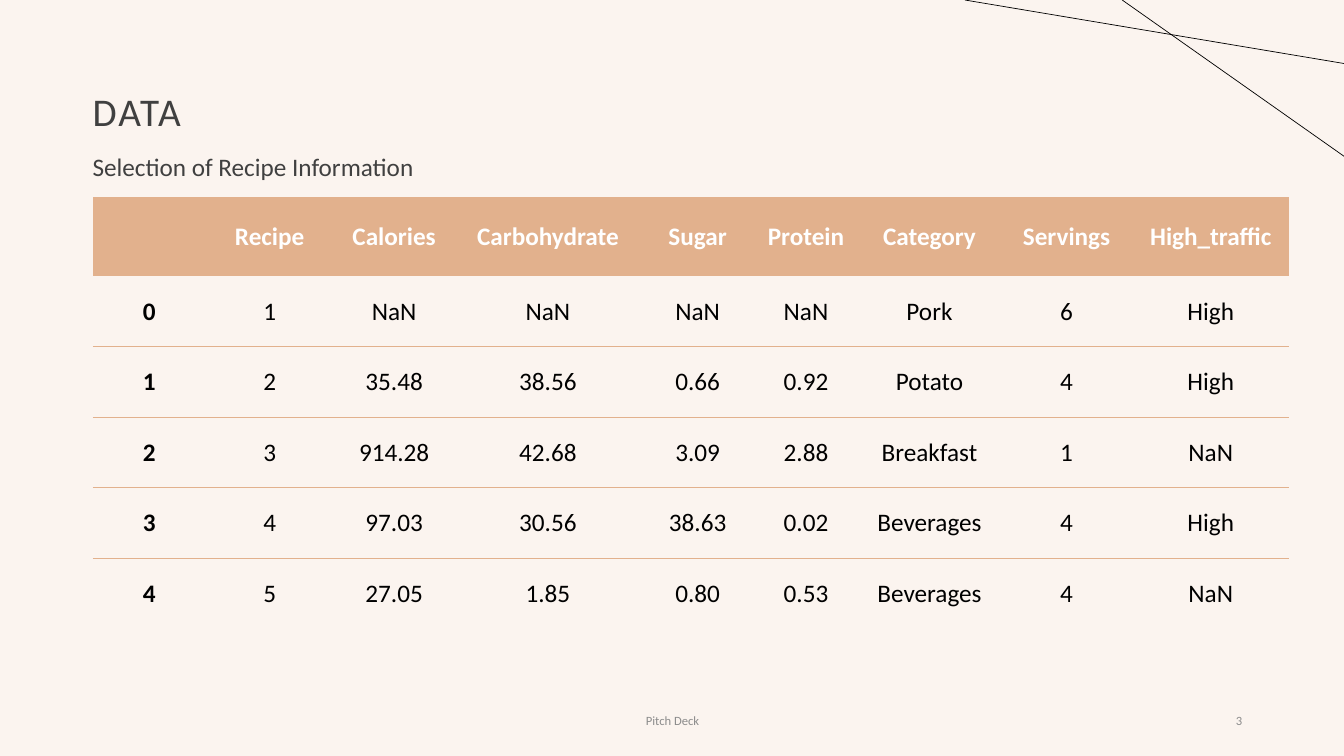
import pptx
import pptx.util
from lxml import etree
from pptx.dml.color import RGBColor
from pptx.enum.shapes import MSO_CONNECTOR
from pptx.enum.text import MSO_ANCHOR, PP_ALIGN
from pptx.oxml.ns import qn
from pptx.util import Inches, Pt

FONT = "Calibri"
CREAM = RGBColor(0xFB, 0xF4, 0xEF)
PEACH = RGBColor(0xE2, 0xB1, 0x8D)
CHARCOAL = RGBColor(0x40, 0x40, 0x40)
GRAY = RGBColor(0x8C, 0x8C, 0x8C)
BLACK = RGBColor(0, 0, 0)
WHITE = RGBColor(0xFF, 0xFF, 0xFF)
NO_TABLE_STYLE = "{2D5ABB26-0587-4C30-8999-92F81FD0307C}"

RECIPES = [
    ["", "Recipe", "Calories", "Carbohydrate", "Sugar", "Protein",
     "Category", "Servings", "High_traffic"],
    ["0", "1", "NaN", "NaN", "NaN", "NaN", "Pork", "6", "High"],
    ["1", "2", "35.48", "38.56", "0.66", "0.92", "Potato", "4", "High"],
    ["2", "3", "914.28", "42.68", "3.09", "2.88", "Breakfast", "1", "NaN"],
    ["3", "4", "97.03", "30.56", "38.63", "0.02", "Beverages", "4", "High"],
    ["4", "5", "27.05", "1.85", "0.80", "0.53", "Beverages", "4", "NaN"],
]
COLUMN_WIDTHS = [1.12, 1.27, 1.2, 1.85, 1.12, 1.03, 1.42, 1.3, 1.56]
HEADER_HEIGHT, ROW_HEIGHT = 0.79, 0.7
TABLE_LEFT, TABLE_TOP = 0.92, 1.95

TEXTS = [
    ("DATA", (0.92, 0.4, 11.5, 1.45),
     dict(size=28, color=CHARCOAL, spacing=1.5, line_spacing=0.9, left_inset=0)),
    ("Selection of Recipe Information", (0.82, 1.49, 7.4, 0.54),
     dict(size=18, color=CHARCOAL, line_spacing=0.9, space_before=10,
          anchor=MSO_ANCHOR.TOP)),
    ("Pitch Deck", (4.42, 6.95, 4.5, 0.4),
     dict(size=9, color=GRAY, align=PP_ALIGN.CENTER)),
    ("3", (9.42, 6.95, 3, 0.4),
     dict(size=9, color=GRAY, align=PP_ALIGN.RIGHT)),
]
CORNER_LINES = [(11.13, 0, 13.33, 1.55), (9.57, 0, 13.33, 0.63)]


def write(frame, text, *, size, color, bold=False, align=PP_ALIGN.LEFT,
          spacing=None, line_spacing=None, space_before=None):
    """Put one formatted line of text into a text frame."""
    para = frame.paragraphs[0]
    para.alignment = align
    if line_spacing:
        para.line_spacing = line_spacing
    if space_before:
        para.space_before = Pt(space_before)
    span = para.add_run()
    span.text = text
    span.font.name = FONT
    span.font.size = Pt(size)
    span.font.bold = bold
    span.font.color.rgb = color
    if spacing:
        span.font._element.set("spc", str(int(spacing * 100)))


def add_text(page, text, area, *, anchor=MSO_ANCHOR.MIDDLE, left_inset=0.1,
             **text_format):
    box = page.shapes.add_textbox(*map(Inches, area))
    frame = box.text_frame
    frame.word_wrap = True
    frame.vertical_anchor = anchor
    frame.margin_left = Inches(left_inset)
    write(frame, text, **text_format)


def underline_cell(cell, color):
    """Draw a 1 pt bottom border; borders precede the fill in the XML."""
    border = etree.Element(qn("a:lnB"), w=str(Pt(1)))
    fill = etree.SubElement(border, qn("a:solidFill"))
    etree.SubElement(fill, qn("a:srgbClr"), val=str(color))
    cell._tc.get_or_add_tcPr().insert(0, border)


def add_recipe_table(page):
    heights = [HEADER_HEIGHT] + [ROW_HEIGHT] * (len(RECIPES) - 1)
    holder = page.shapes.add_table(
        len(RECIPES), len(COLUMN_WIDTHS), Inches(TABLE_LEFT), Inches(TABLE_TOP),
        Inches(sum(COLUMN_WIDTHS)), Inches(sum(heights)))
    table = holder.table
    table.horz_banding = False
    table._tbl.tblPr.find(qn("a:tableStyleId")).text = NO_TABLE_STYLE
    for column, width in zip(table.columns, COLUMN_WIDTHS):
        column.width = Inches(width)
    for r, (values, height) in enumerate(zip(RECIPES, heights)):
        table.rows[r].height = Inches(height)
        header = r == 0
        for c, value in enumerate(values):
            cell = table.cell(r, c)
            cell.vertical_anchor = MSO_ANCHOR.MIDDLE
            if header:
                cell.fill.solid()
                cell.fill.fore_color.rgb = PEACH
            else:
                cell.fill.background()
                if r < len(RECIPES) - 1:
                    underline_cell(cell, PEACH)
            if value:
                write(cell.text_frame, value, size=18, bold=header or c == 0,
                      color=WHITE if header else BLACK, align=PP_ALIGN.CENTER)


def add_line(page, ends):
    line = page.shapes.add_connector(MSO_CONNECTOR.STRAIGHT, *map(Inches, ends))
    line.line.color.rgb = BLACK
    line.line.width = Pt(0.5)
    etree.SubElement(line._element.spPr, qn("a:effectLst"))


def main():
    deck = pptx.Presentation()
    deck.slide_width, deck.slide_height = Inches(13.33), Inches(7.5)
    page = deck.slides.add_slide(deck.slide_layouts[6])
    page.background.fill.solid()
    page.background.fill.fore_color.rgb = CREAM
    for text, area, text_format in TEXTS:
        add_text(page, text, area, **text_format)
    add_recipe_table(page)
    for ends in CORNER_LINES:
        add_line(page, ends)
    deck.save("out.pptx")


if __name__ == "__main__":
    main()
